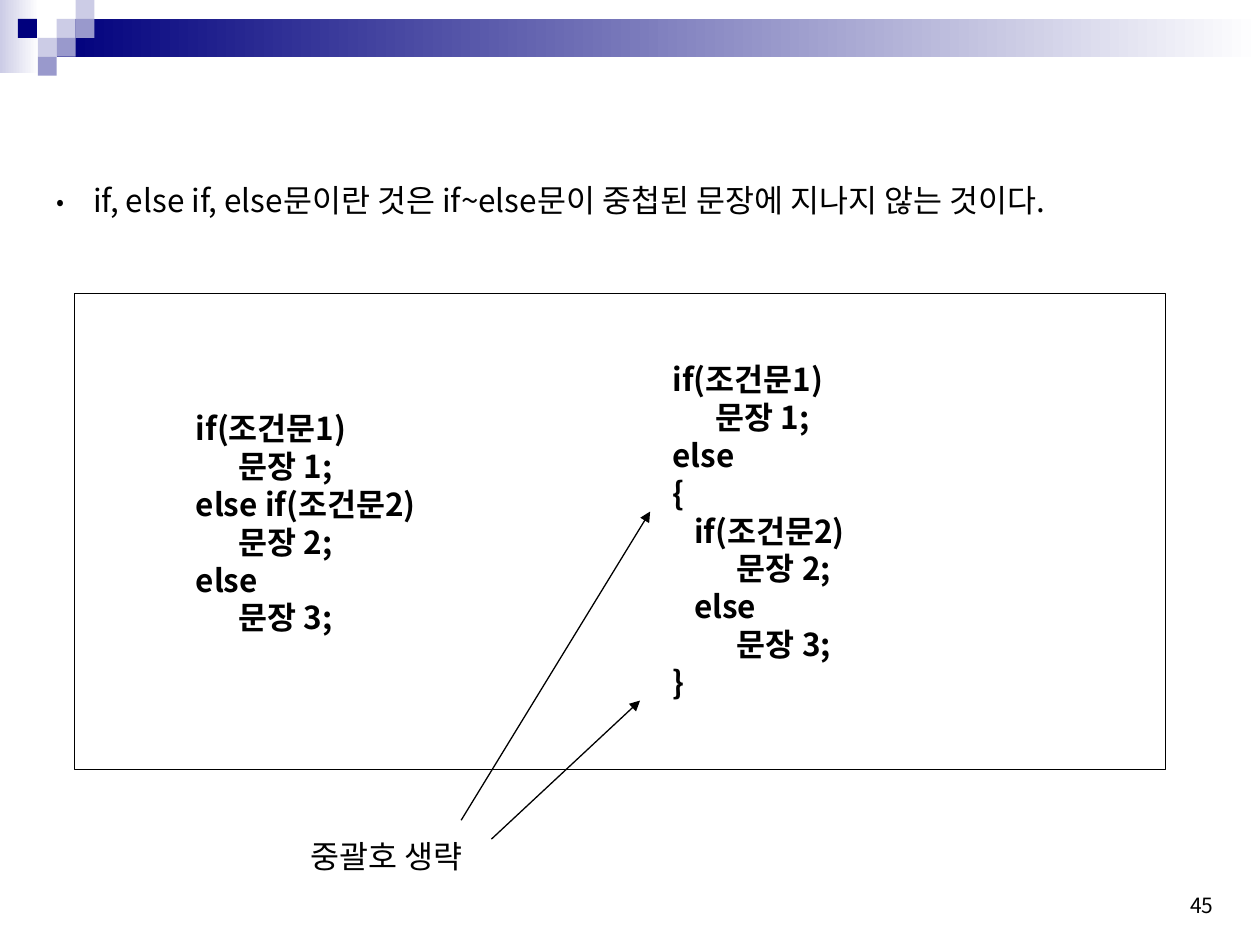
from lxml import etree
from pptx import Presentation
from pptx import util as u
from pptx.dml.color import RGBColor
from pptx.enum import shapes, text
from pptx.oxml.ns import qn

FONT = "Noto Sans CJK KR"
BLACK, NAVY, VIOLET, LILAC, WHITE = "000000", "00007D", "9999CC", "CCCCE6", "FFFFFF"
CELL = 0.15    # side of a banner square
INDENT = 0.17  # one level of code indentation

SHORT_FORM = [(0, "if(조건문1)"), (2, "문장 1;"), (0, "else if(조건문2)"),
              (2, "문장 2;"), (0, "else"), (2, "문장 3;")]
NESTED_FORM = [(0, "if(조건문1)"), (2, "문장 1;"), (0, "else"), (0, "{"),
               (1, "if(조건문2)"), (3, "문장 2;"), (1, "else"), (3, "문장 3;"), (0, "}")]


def color(value):
    return RGBColor.from_string(value)


def inches(*values):
    return [u.Inches(v) for v in values]


def add_rect(s, box, fill=None, fade_to=None, line=None):
    sp = s.shapes.add_shape(shapes.MSO_SHAPE.RECTANGLE, *inches(*box))
    sp.shadow.inherit = False
    if fade_to:
        sp.fill.gradient()
        sp.fill.gradient_angle = 0
        for stop, value, pos in zip(sp.fill.gradient_stops, (fill, fade_to), (0, 1)):
            stop.color.rgb = color(value)
            stop.position = pos
    elif fill:
        sp.fill.solid()
        sp.fill.fore_color.rgb = color(fill)
    else:
        sp.fill.background()
    if line:
        sp.line.color.rgb = color(line)
        sp.line.width = u.Pt(0.75)
    else:
        sp.line.fill.background()


def add_text(s, box, lines, size=18, bold=False, wrap=True,
             anchor=text.MSO_ANCHOR.TOP, align=text.PP_ALIGN.LEFT):
    """Add a text box from (indent level, text) lines and return its paragraphs."""
    tf = s.shapes.add_textbox(*inches(*box)).text_frame
    tf.word_wrap, tf.vertical_anchor = wrap, anchor
    for i, (level, words) in enumerate(lines):
        p = tf.paragraphs[0] if i == 0 else tf.add_paragraph()
        p.alignment = align
        p.line_spacing = u.Pt(size * 1.2)
        if level:
            p._p.get_or_add_pPr().set("marL", str(u.Inches(level * INDENT)))
        r = p.add_run()
        r.text = words
        for name, value in dict(name=FONT, size=u.Pt(size), bold=bold).items():
            setattr(r.font, name, value)
        r.font.color.rgb = color(BLACK)
        etree.SubElement(r._r.get_or_add_rPr(), qn("a:ea"), typeface=FONT)
    return tf.paragraphs


def add_bullet(p, hang):
    pPr = p._p.get_or_add_pPr()
    pPr.set("marL", str(u.Inches(hang)))
    pPr.set("indent", str(-u.Inches(hang)))
    etree.SubElement(pPr, qn("a:buSzPct"), val="75000")
    etree.SubElement(pPr, qn("a:buFont"), typeface=FONT)
    etree.SubElement(pPr, qn("a:buChar"), char="•")


def add_arrow(s, start, end):
    cn = s.shapes.add_connector(shapes.MSO_CONNECTOR.STRAIGHT, *inches(*start, *end))
    cn.line.color.rgb = color(BLACK)
    cn.line.width = u.Pt(0.75)
    etree.SubElement(cn.line._get_or_add_ln(), qn("a:tailEnd"), type="triangle")
    etree.SubElement(cn._element.spPr, qn("a:effectLst"))


def banner(s, width):
    add_rect(s, (0, 0, 0.31, 0.58), LILAC, WHITE)
    add_rect(s, (3 * CELL, CELL, width - 3 * CELL, 2 * CELL), NAVY, WHITE)
    squares = [(3, 1, LILAC), (4, 0, LILAC), (4, 1, VIOLET), (2, 2, LILAC),
               (0.95, 1, NAVY), (3, 2, VIOLET), (2, 3, VIOLET)]
    for col, row, fill in squares:
        add_rect(s, (col * CELL, row * CELL, CELL, CELL), fill)


def code_panel(s, left, top, width, height):
    """Frame the two equivalent forms of the branch side by side."""
    add_rect(s, (left, top, width, height), line=BLACK)
    for dx, dy, h, code in ((0.1, 0.23, 1.9, SHORT_FORM), (0.537, 0.127, 2.8, NESTED_FORM)):
        add_text(s, (left + dx * width, top + dy * height, width / 3, h), code,
                 bold=True, anchor=text.MSO_ANCHOR.MIDDLE)


def brace_note(s, left, top, width, height):
    """Label the omitted braces and point at both of them."""
    add_arrow(s, (left + 1.29, top - 0.08), (5.16, 4.06))
    add_arrow(s, (left + 1.53, top + 0.07), (5.08, 5.56))
    add_text(s, (left, top, width, height), [(0, "중괄호 생략")], wrap=False)


def main():
    prs = Presentation()
    prs.slide_width, prs.slide_height = inches(10, 7.5)
    s = prs.slides.add_slide(prs.slide_layouts[6])
    banner(s, 10)
    add_text(s, (7.17, 6.83, 2.56, 0.5), [(0, "45")], size=12,
             anchor=text.MSO_ANCHOR.BOTTOM, align=text.PP_ALIGN.RIGHT)
    intro = "if, else if, else문이란 것은 if~else문이 중첩된 문장에 지나지 않는 것이다."
    p = add_text(s, (0.35, 1.39, 9.25, 0.7), [(0, intro)], align=text.PP_ALIGN.JUSTIFY)[0]
    add_bullet(p, 0.29)
    code_panel(s, 0.59, 2.33, 8.66, 3.78)
    brace_note(s, 2.37, 6.59, 1.47, 0.4)
    prs.save("out.pptx")


if __name__ == "__main__":
    main()
